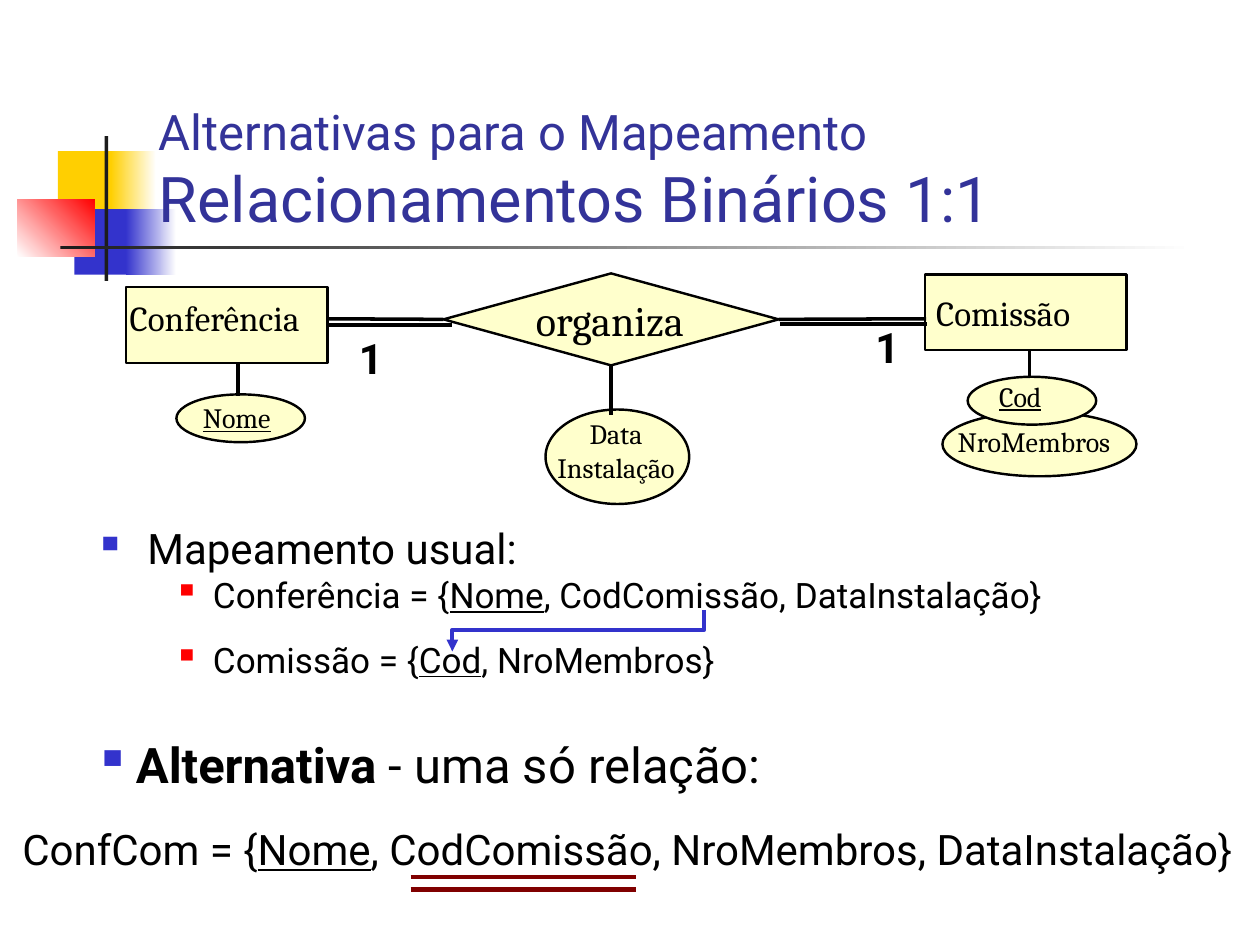
import pptx
import pptx.util
from lxml import etree
from pptx.dml.color import RGBColor
from pptx.enum.shapes import MSO_CONNECTOR, MSO_SHAPE
from pptx.enum.text import MSO_ANCHOR, PP_ALIGN
from pptx.oxml.ns import qn
from pptx.util import Inches

BLACK = RGBColor(0x00, 0x00, 0x00)
WHITE = RGBColor(0xFF, 0xFF, 0xFF)
CHARCOAL = RGBColor(0x1C, 0x1C, 0x1C)
YELLOW = RGBColor(0xFF, 0xCF, 0x01)
BLUE = RGBColor(0x33, 0x33, 0xCC)
RED = RGBColor(0xFF, 0x00, 0x00)
NAVY = RGBColor(0x33, 0x33, 0x99)
CREAM = RGBColor(0xFF, 0xFF, 0xCC)
MAROON = RGBColor(0x80, 0x00, 0x00)
SANS = "Roboto"
SERIF = "Cambria"


def write(p, text, size=20, font=SANS, color=BLACK, bold=False, underline=False):
    r = p.add_run()
    r.text = text
    r.font.size = pptx.util.Pt(size)
    r.font.name = font
    r.font.color.rgb = color
    r.font.bold = bold
    r.font.underline = underline


def write_relation(p, before, key, after, size):
    """Write a relation schema with its key attribute underlined."""
    write(p, before, size)
    write(p, key, size, underline=True)
    write(p, after, size)


def add_bullet(p, color, left, hanging):
    pPr = p._p.get_or_add_pPr()
    pPr.set("marL", str(Inches(left)))
    pPr.set("indent", str(-Inches(hanging)))
    clr = etree.SubElement(pPr, qn("a:buClr"))
    etree.SubElement(clr, qn("a:srgbClr"), val=str(color))
    etree.SubElement(pPr, qn("a:buChar"), char="▪")


class Diagram:
    """Holds the slide and the shared look of its elements."""

    def __init__(self, s):
        self.s = s
        self.fill = CREAM
        self.outline = 1.39
        self.link = 2

    def shape(self, kind, x, y, w, h):
        sp = self.s.shapes.add_shape(kind, Inches(x), Inches(y), Inches(w), Inches(h))
        sp.shadow.inherit = False
        return sp

    def node(self, kind, x, y, w, h):
        sp = self.shape(kind, x, y, w, h)
        sp.fill.solid()
        sp.fill.fore_color.rgb = self.fill
        sp.line.color.rgb = BLACK
        sp.line.width = pptx.util.Pt(self.outline)
        return sp

    def block(self, x, y, w, h, start, end=None, angle=0):
        """Borderless rectangle, solid or fading from start to end."""
        sp = self.shape(MSO_SHAPE.RECTANGLE, x, y, w, h)
        sp.line.fill.background()
        if end is None:
            sp.fill.solid()
            sp.fill.fore_color.rgb = start
            return
        sp.fill.gradient()
        sp.fill.gradient_angle = angle
        for stop, color in zip(sp.fill.gradient_stops, (start, end)):
            stop.color.rgb = color

    def text(self, x, y, w, h, padded=False, wrap=True):
        tf = self.s.shapes.add_textbox(Inches(x), Inches(y), Inches(w), Inches(h)).text_frame
        tf.word_wrap = wrap
        tf.margin_left = tf.margin_right = Inches(0.1 if padded else 0)
        tf.margin_top = tf.margin_bottom = Inches(0.05 if padded else 0)
        return tf

    def label(self, x, y, w, h, text, size=16, align=PP_ALIGN.LEFT, underline=False):
        p = self.text(x, y, w, h).paragraphs[0]
        p.alignment = align
        write(p, text, size, SERIF, underline=underline)

    def cardinality(self, x, y):
        write(self.text(x, y, 1.17, 0.5, padded=True).paragraphs[0], "1", 24, bold=True)

    def line(self, x1, y1, x2, y2, color=BLACK, width=None, begin=None, end=None):
        """Straight line; begin and end are optional (shape, site) pairs."""
        c = self.s.shapes.add_connector(
            MSO_CONNECTOR.STRAIGHT, Inches(x1), Inches(y1), Inches(x2), Inches(y2))
        c.line.color.rgb = color
        c.line.width = pptx.util.Pt(width or self.link)
        etree.SubElement(c._element.spPr, qn("a:effectLst"))
        if begin:
            c.begin_connect(*begin)
        if end:
            c.end_connect(*end)

    def arrow(self, points, color, width):
        pts = [(Inches(x), Inches(y)) for x, y in points]
        fb = self.s.shapes.build_freeform(*pts[0])
        fb.add_line_segments(pts[1:], close=False)
        sp = fb.convert_to_shape()
        sp.shadow.inherit = False
        sp.fill.background()
        sp.line.color.rgb = color
        sp.line.width = pptx.util.Pt(width)
        etree.SubElement(sp.line._get_or_add_ln(), qn("a:tailEnd"), type="triangle")


def draw_title(d):
    d.block(0.46, 1.2, 0.48, 0.52, YELLOW)
    d.block(0.88, 1.2, 0.36, 0.52, YELLOW, WHITE)
    d.block(0.59, 1.66, 0.46, 0.52, BLUE)
    d.block(1, 1.66, 0.4, 0.52, BLUE, WHITE)
    d.block(0.14, 1.58, 0.61, 0.46, WHITE, RED, angle=45)
    d.block(0.83, 1.08, 0.03, 1.15, CHARCOAL)
    d.block(0.48, 1.95, 9, 0.03, CHARCOAL, WHITE)
    tf = d.text(1.26, 0.67, 7.74, 1.2)
    tf.vertical_anchor = MSO_ANCHOR.BOTTOM
    p = tf.paragraphs[0]
    write(p, "Alternativas para o Mapeamento", 28, color=NAVY)
    p.add_line_break()
    write(p, "Relacionamentos Binários 1:1", 36, color=NAVY)


def draw_entities(d):
    d.node(MSO_SHAPE.OVAL, 1.4, 3.13, 1.02, 0.38)
    d.label(1.61, 3.18, 0.73, 0.27, "Nome", underline=True)
    d.node(MSO_SHAPE.RECTANGLE, 7.34, 2.18, 1.6, 0.6)
    d.label(7.43, 2.31, 1.47, 0.33, "Comissão", 20)
    d.line(8.17, 3, 8.17, 2.77)
    relation = d.node(MSO_SHAPE.DIAMOND, 3.52, 2.17, 2.66, 0.73)
    d.label(4, 2.34, 1.68, 0.4, "organiza", 24, PP_ALIGN.CENTER)
    conference = d.node(MSO_SHAPE.RECTANGLE, 1, 2.28, 1.6, 0.6)
    d.label(1.03, 2.35, 1.5, 0.67, "Conferência", 20)
    d.node(MSO_SHAPE.OVAL, 4.33, 3.25, 1.14, 0.75)
    d.label(4.36, 3.31, 1.06, 0.8, "Data Instalação", align=PP_ALIGN.CENTER)

    d.line(1.89, 3.14, 1.89, 2.88)
    d.line(4.85, 2.9, 4.85, 3.29, begin=(relation, 2))
    d.line(2.6, 2.53, 3.52, 2.53, end=(relation, 1))
    d.line(6.18, 2.53, 7.35, 2.53, begin=(relation, 3))
    d.line(2.6, 2.58, 3.59, 2.58, begin=(conference, 3))
    d.line(6.19, 2.57, 7.36, 2.57)
    d.cardinality(2.75, 2.59)
    d.cardinality(6.85, 2.5)

    d.node(MSO_SHAPE.OVAL, 7.48, 3.27, 1.54, 0.51)
    d.label(7.6, 3.37, 1.41, 0.27, "NroMembros")
    d.node(MSO_SHAPE.OVAL, 7.68, 2.99, 1.02, 0.38)
    d.label(7.93, 3.01, 0.66, 0.27, "Cod", underline=True)


def draw_mappings(d):
    tf = d.text(0.75, 4.15, 8.92, 1.25)
    p = tf.paragraphs[0]
    add_bullet(p, BLUE, 0.42, 0.42)
    write(p, "Mapeamento usual:", 24)
    relations = [
        ("Conferência = {", "Nome", ", CodComissão, DataInstalação}", 0),
        ("Comissão = {", "Cod", ", NroMembros}", 13),
    ]
    for before, key, after, gap in relations:
        p = tf.add_paragraph()
        p.level = 1
        p.space_before = pptx.util.Pt(gap)
        add_bullet(p, RED, 0.94, 0.31)
        write_relation(p, before, key, after, 20)
    d.arrow([(5.59, 4.84), (5.59, 5), (3.59, 5), (3.59, 5.17)], BLUE, 2.25)

    p = d.text(0.65, 5.78, 5.88, 0.57, padded=True, wrap=False).paragraphs[0]
    add_bullet(p, BLUE, 0.33, 0.33)
    write(p, "Alternativa", 28, bold=True)
    write(p, " - uma só relação:", 28)

    p = d.text(0.08, 6.49, 9.83, 0.9, padded=True).paragraphs[0]
    write_relation(p, "ConfCom = {", "Nome", ", CodComissão, NroMembros, DataInstalação}", 24)
    for y in (6.96, 7.06):
        d.line(3.26, y, 5.05, y, MAROON, 2.35)


def main():
    prs = pptx.Presentation()
    prs.slide_width, prs.slide_height = Inches(10), Inches(7.5)
    d = Diagram(prs.slides.add_slide(prs.slide_layouts[6]))
    draw_title(d)
    draw_entities(d)
    draw_mappings(d)
    prs.save("out.pptx")


if __name__ == "__main__":
    main()
